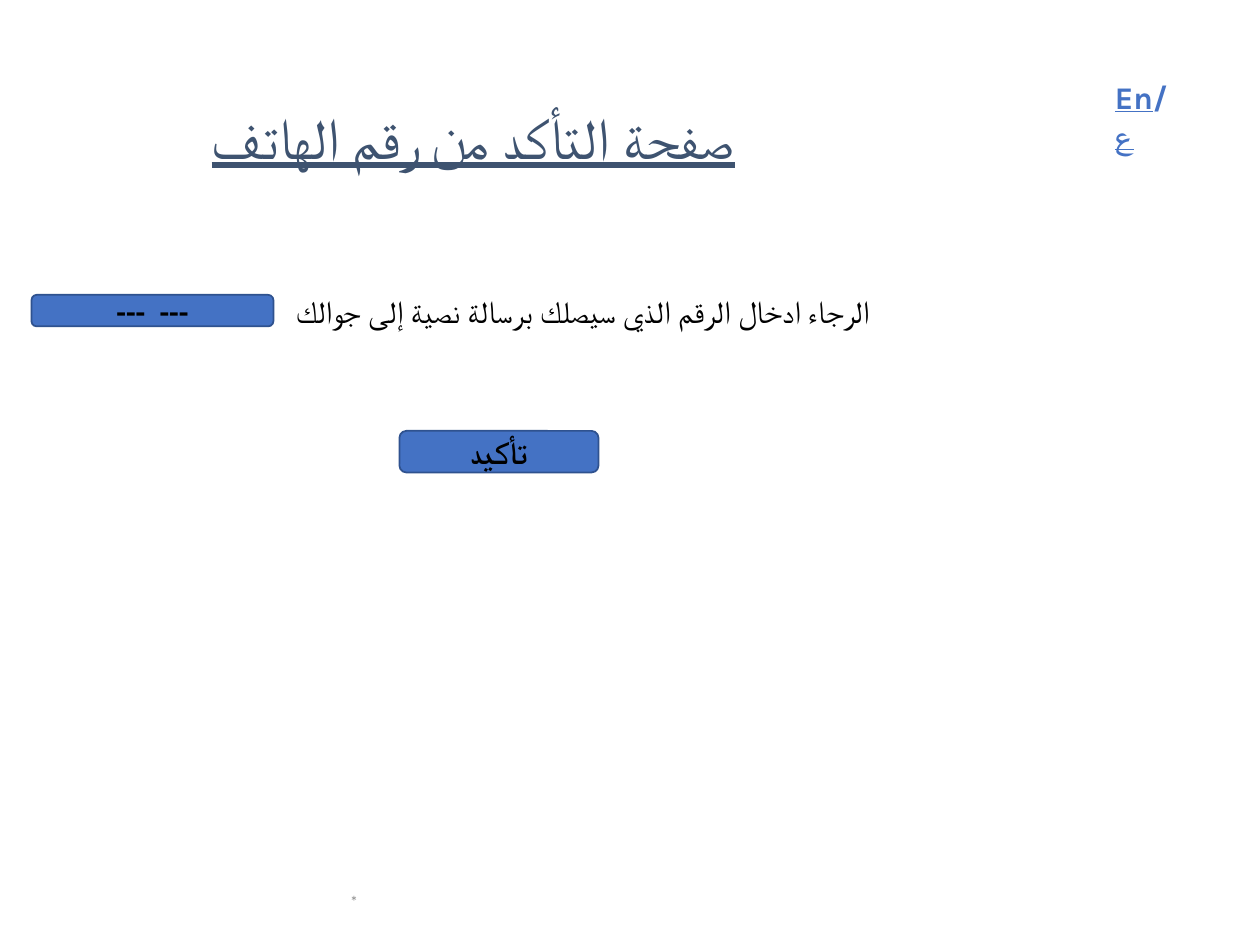
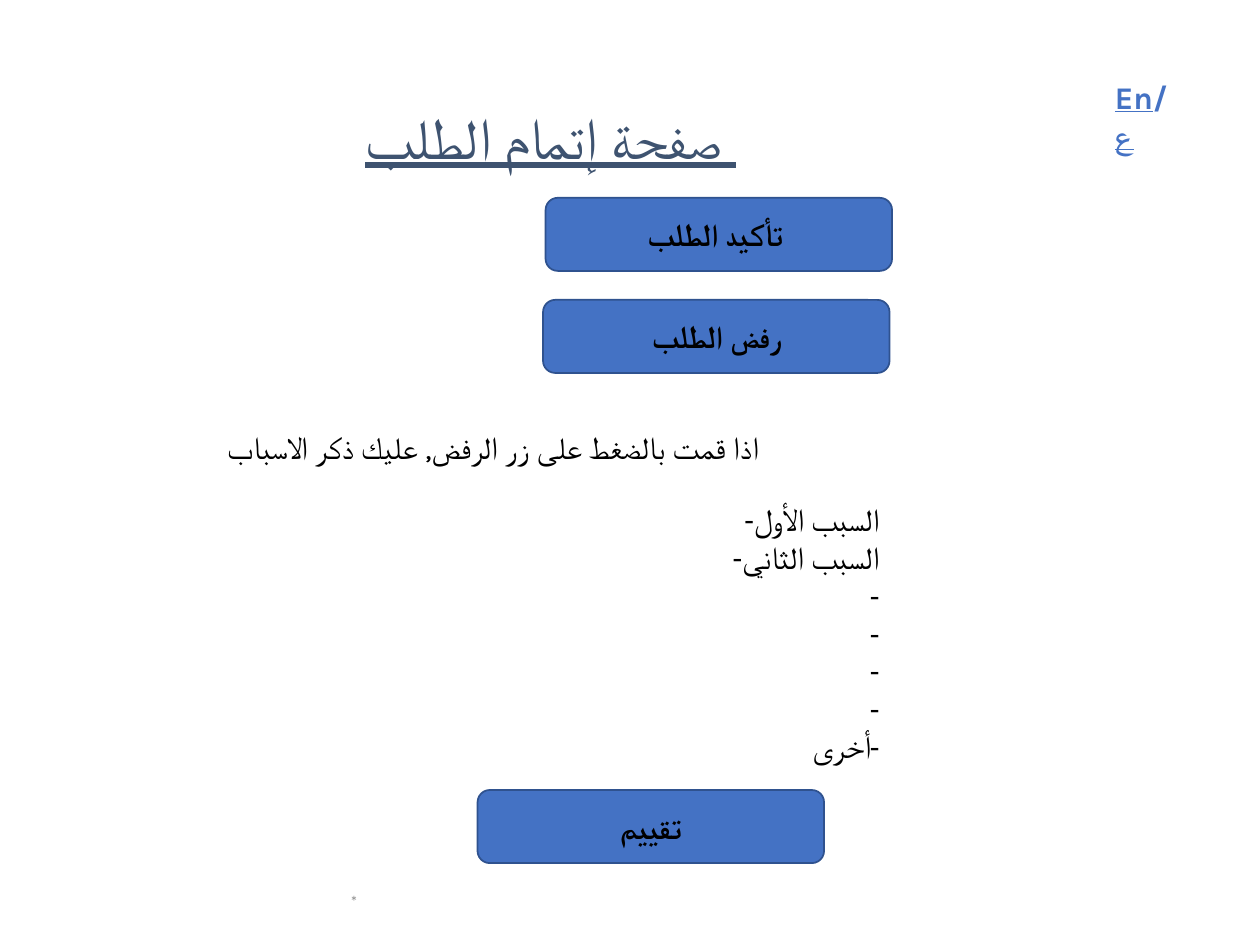
import pptx
import pptx.util
import pptx.dml.color
import pptx.enum.text
import pptx.enum.shapes
import pptx.oxml
import pptx.oxml.ns

Inches = pptx.util.Inches
Pt = pptx.util.Pt
ALIGN = pptx.enum.text.PP_ALIGN
ANCHOR = pptx.enum.text.MSO_ANCHOR
BLUE, EDGE, NAVY, GREY, BLACK = "4472C4", "2F528F", "3E5370", "898989", "000000"


def paint(target, color):
    target.rgb = pptx.dml.color.RGBColor.from_string(color)


def write(shape, lines, size=18, face="Calibri", color=BLACK, bold=False,
          align=ALIGN.LEFT, anchor=ANCHOR.TOP):
    frame = shape.text_frame
    frame.word_wrap = True
    frame.auto_size = pptx.enum.text.MSO_AUTO_SIZE.NONE
    frame.vertical_anchor = anchor
    for i, line in enumerate(lines):
        para = frame.paragraphs[0] if i == 0 else frame.add_paragraph()
        para.alignment = align
        for text, under in line:
            if text == "\n":
                para.add_line_break()
                continue
            run = para.add_run()
            run.text = text
            font = run.font
            font.name, font.size = face, Pt(size)
            font.bold, font.underline = bold, under
            paint(font.color, color)
            script = pptx.oxml.parse_xml(
                f'<a:cs {pptx.oxml.ns.nsdecls("a")} typeface="{face}"/>')
            font._element.append(script)


pages = [
    {
        "title": ("صفحة التأكد من رقم الهاتف", 1.58, 6.08),
        "prompt": ("الرجاء ادخال الرقم الذي سيصلك برسالة نصية إلى جوالك",
                   2.25, 2.27, 6.67),
        "buttons": [("---  ---", 0.25, 2.34, 1.92, 0.25),
                    ("تأكيد", 3.17, 3.42, 1.58, 0.33)],
    },
    {
        "title": ("صفحة إتمام الطلب ", 2.8, 4.17),
        "prompt": ("اذا قمت بالضغط على زر الرفض, عليك ذكر الاسباب",
                   1.71, 3.35, 5.38),
        "buttons": [("رفض الطلب", 4.31, 2.38, 2.75, 0.58),
                    ("تأكيد الطلب ", 4.33, 1.57, 2.75, 0.58),
                    ("تقييم", 3.79, 6.27, 2.75, 0.58)],
    },
]

deck = pptx.Presentation()
deck.slide_width, deck.slide_height = Inches(10), Inches(7.5)

for page in pages:
    slide = deck.slides.add_slide(deck.slide_layouts[5])
    shapes = slide.shapes

    text, left, width = page["title"]
    title = shapes.title
    title.left, title.top = Inches(left), Inches(0.49)
    title.width, title.height = Inches(width), Inches(1.25)
    write(title, [[(text, True)]], 33, color=NAVY, anchor=ANCHOR.MIDDLE)
    title.text_frame.paragraphs[0].line_spacing = 0.9

    mark = shapes.add_textbox(Inches(0.69), Inches(6.95), Inches(2.25), Inches(0.4))
    write(mark, [[("*", False)]], 9, color=GREY, align=ALIGN.RIGHT,
          anchor=ANCHOR.MIDDLE)

    switch = shapes.add_textbox(Inches(8.75), Inches(0.57), Inches(0.73), Inches(0.4))
    write(switch, [[("En", True), ("/", False), ("ع", True)]],
          face="Karla", color=BLUE, bold=True)

    text, left, top, width = page["prompt"]
    prompt = shapes.add_textbox(Inches(left), Inches(top), Inches(width), Inches(0.4))
    write(prompt, [[(text, False)]], face="Karla")

    for text, *box in page["buttons"]:
        button = shapes.add_shape(
            pptx.enum.shapes.MSO_SHAPE.ROUNDED_RECTANGLE, *map(Inches, box))
        button.shadow.inherit = False
        button.fill.solid()
        paint(button.fill.fore_color, BLUE)
        paint(button.line.color, EDGE)
        button.line.width = Pt(1)
        write(button, [[(text, False)]], bold=True, align=ALIGN.CENTER,
              anchor=ANCHOR.MIDDLE)

others = [("-السبب الثاني", False)]
for text in ["-"] * 4 + ["-أخرى"]:
    others += [("\n", False), (text, False)]
causes = shapes.add_textbox(Inches(3.25), Inches(3.92), Inches(3.83), Inches(2.22))
write(causes, [[("-السبب الأول", False)], others], align=ALIGN.RIGHT)

deck.save("out.pptx")
